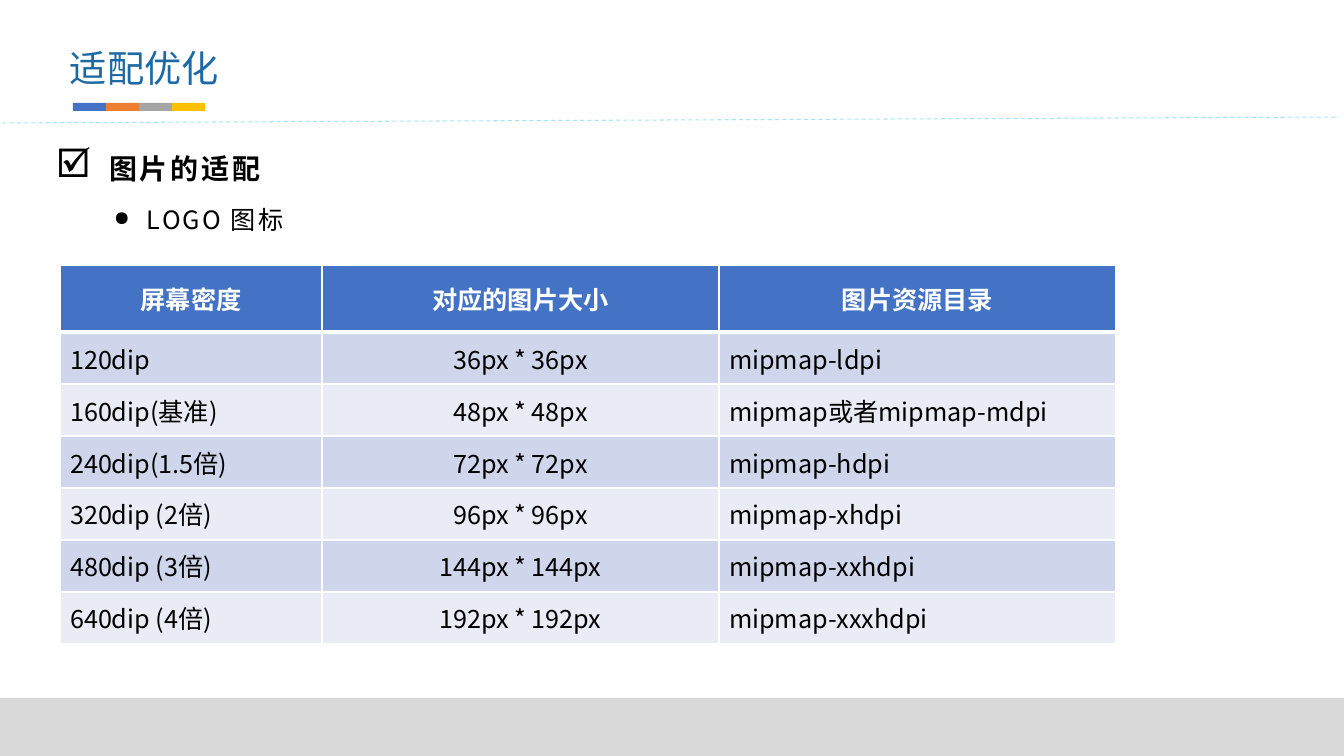
"""Builds the slide on adapting launcher icons to screen densities."""
from dataclasses import dataclass
from typing import Any, Optional

import lxml.etree
import pptx
import pptx.dml.color
import pptx.enum.dml
import pptx.enum.shapes
import pptx.enum.text
import pptx.oxml.ns
import pptx.util

ALIGN = pptx.enum.text.PP_ALIGN


@dataclass(frozen=True)
class Theme:
    font: str = "Noto Sans CJK SC"
    title: str = "1D69A3"
    ink: str = "000000"
    white: str = "FFFFFF"
    footer: str = "D9D9D9"
    rule: str = "00B0F0"
    header: str = "4472C4"
    bands: tuple[str, ...] = ("CFD5EA", "E9EBF5")
    accents: tuple[str, ...] = ("4472C4", "ED7D31", "A5A5A5", "FFC000")
    title_size: float = 26.6
    heading_size: float = 20
    body_size: float = 18


@dataclass(frozen=True)
class Box:
    left: int
    top: int
    width: int
    height: int


@dataclass(frozen=True)
class Style:
    size: float
    color: str
    bold: bool = False
    spacing: float = 0


@dataclass(frozen=True)
class Bullet:
    text: str
    style: Style
    symbol: str
    percent: int
    level: int
    margin: int
    hanging: int
    line_spacing: float
    space_before: float


THEME = Theme()
HEADERS = ("屏幕密度", "对应的图片大小", "图片资源目录")
DENSITIES = (
    ("120dip", 36, "mipmap-ldpi"),
    ("160dip(基准)", 48, "mipmap或者mipmap-mdpi"),
    ("240dip(1.5倍)", 72, "mipmap-hdpi"),
    ("320dip (2倍)", 96, "mipmap-xhdpi"),
    ("480dip (3倍)", 144, "mipmap-xxhdpi"),
    ("640dip (4倍)", 192, "mipmap-xxxhdpi"),
)
COLUMN_WIDTHS = (262, 397, 397)
COLUMN_ALIGNS = (ALIGN.LEFT, ALIGN.CENTER, ALIGN.LEFT)
HEADER_HEIGHT, ROW_HEIGHT = 67, 52
BULLETS = (
    Bullet("图片的适配", Style(THEME.heading_size, THEME.ink, True, 2),
           "☑", 140, 0, 53, 53, 1.3, 0),
    Bullet("LOGO 图标", Style(THEME.body_size, THEME.ink, False, 1.5),
           "●", 80, 1, 91, 33, 1.2, 10),
)


def px(length: int) -> int:
    return pptx.util.Emu(round(length * 914400 / 100.8))


def rgb(color: str) -> pptx.dml.color.RGBColor:
    return pptx.dml.color.RGBColor.from_string(color)


def frame(box: Box) -> tuple[int, ...]:
    return tuple(px(side) for side in (box.left, box.top, box.width, box.height))


def add_element(parent: Any, tag: str, **attributes: str) -> Any:
    return lxml.etree.SubElement(parent, pptx.oxml.ns.qn(tag), attributes)


def add_span(para: Any, text: str, style: Style) -> None:
    span = para.add_run()
    span.text = text
    span.font.name = THEME.font
    span.font.size = pptx.util.Pt(style.size)
    span.font.bold = style.bold
    span.font.color.rgb = rgb(style.color)
    properties = span.font._element
    if style.spacing:
        properties.set("spc", str(round(style.spacing * 100)))
    add_element(properties, "a:ea", typeface=THEME.font)


def add_bar(shapes: Any, box: Box, color: str) -> None:
    bar = shapes.add_shape(pptx.enum.shapes.MSO_SHAPE.RECTANGLE, *frame(box))
    bar.shadow.inherit = False
    bar.fill.solid()
    bar.fill.fore_color.rgb = rgb(color)
    bar.line.fill.background()


def add_rule(page: Any) -> None:
    rule = page.shapes.add_connector(
        pptx.enum.shapes.MSO_CONNECTOR.STRAIGHT, px(-5), px(123), px(1339), px(117))
    rule.line.width = pptx.util.Pt(0.75)
    rule.line.color.rgb = rgb(THEME.rule)
    rule.line.dash_style = pptx.enum.dml.MSO_LINE.DASH
    color = rule.line._ln.find(".//" + pptx.oxml.ns.qn("a:srgbClr"))
    add_element(color, "a:alpha", val="34000")
    add_element(rule._element.spPr, "a:effectLst")


def add_text_box(page: Any, box: Box) -> Any:
    text_frame = page.shapes.add_textbox(*frame(box)).text_frame
    text_frame.word_wrap = True
    text_frame.auto_size = pptx.enum.text.MSO_AUTO_SIZE.SHAPE_TO_FIT_TEXT
    return text_frame


def add_bullets(page: Any, box: Box, bullets: tuple[Bullet, ...]) -> None:
    text_frame = add_text_box(page, box)
    text_frame.margin_left = text_frame.margin_right = px(8)
    text_frame.margin_top = text_frame.margin_bottom = px(4)
    for index, bullet in enumerate(bullets):
        para = text_frame.add_paragraph() if index else text_frame.paragraphs[0]
        para.level = bullet.level
        para.line_spacing = bullet.line_spacing
        para.space_before = pptx.util.Pt(bullet.space_before)
        properties = para._p.get_or_add_pPr()
        properties.set("marL", str(px(bullet.margin)))
        properties.set("indent", str(-px(bullet.hanging)))
        add_element(properties, "a:buSzPct", val=str(bullet.percent * 1000))
        add_element(properties, "a:buChar", char=bullet.symbol)
        add_span(para, bullet.text, bullet.style)


def set_borders(cell: Any, top: float, bottom: float) -> None:
    properties = cell._tc.get_or_add_tcPr()
    for side, width in (("L", 1), ("R", 1), ("T", top), ("B", bottom)):
        line = add_element(properties, f"a:ln{side}", w=str(pptx.util.Pt(width)))
        add_element(add_element(line, "a:solidFill"), "a:srgbClr", val=THEME.white)


def fill_cell(cell: Any, text: str, style: Style, fill: str,
              align: Optional[ALIGN], top: float, bottom: float) -> None:
    cell.vertical_anchor = pptx.enum.text.MSO_ANCHOR.MIDDLE
    set_borders(cell, top, bottom)
    cell.fill.solid()
    cell.fill.fore_color.rgb = rgb(fill)
    para = cell.text_frame.paragraphs[0]
    para.alignment = align
    add_span(para, text, style)


def add_density_table(page: Any, left: int, top: int) -> None:
    heights = (HEADER_HEIGHT,) + (ROW_HEIGHT,) * len(DENSITIES)
    box = Box(left, top, sum(COLUMN_WIDTHS), sum(heights))
    table = page.shapes.add_table(len(heights), len(COLUMN_WIDTHS), *frame(box)).table
    for row, height in zip(table.rows, heights):
        row.height = px(height)
    header_style = Style(THEME.body_size, THEME.white, True)
    body_style = Style(THEME.body_size, THEME.ink)
    for column, width in enumerate(COLUMN_WIDTHS):
        table.columns[column].width = px(width)
        fill_cell(table.cell(0, column), HEADERS[column], header_style,
                  THEME.header, ALIGN.CENTER, 1, 3)
    for index, (density, side, folder) in enumerate(DENSITIES):
        texts = (density, f"{side}px * {side}px", folder)
        for column, text in enumerate(texts):
            fill_cell(table.cell(index + 1, column), text, body_style,
                      THEME.bands[index % 2], COLUMN_ALIGNS[column],
                      1 if index else 3, 1)


def main() -> None:
    deck = pptx.Presentation()
    deck.slide_width, deck.slide_height = px(1344), px(756)
    page = deck.slides.add_slide(deck.slide_layouts[6])
    add_bar(page.shapes, Box(0, 698, 1344, 58), THEME.footer)
    stripe = page.shapes.add_group_shape()
    for index, color in enumerate(THEME.accents):
        add_bar(stripe.shapes, Box(73 + 33 * index, 103, 33, 8), color)
    add_rule(page)
    title = add_text_box(page, Box(60, 40, 466, 55))
    add_span(title.paragraphs[0], "适配优化", Style(THEME.title_size, THEME.title))
    add_bullets(page, Box(48, 137, 906, 103), BULLETS)
    add_density_table(page, 60, 265)
    deck.save("out.pptx")


if __name__ == "__main__":
    main()
